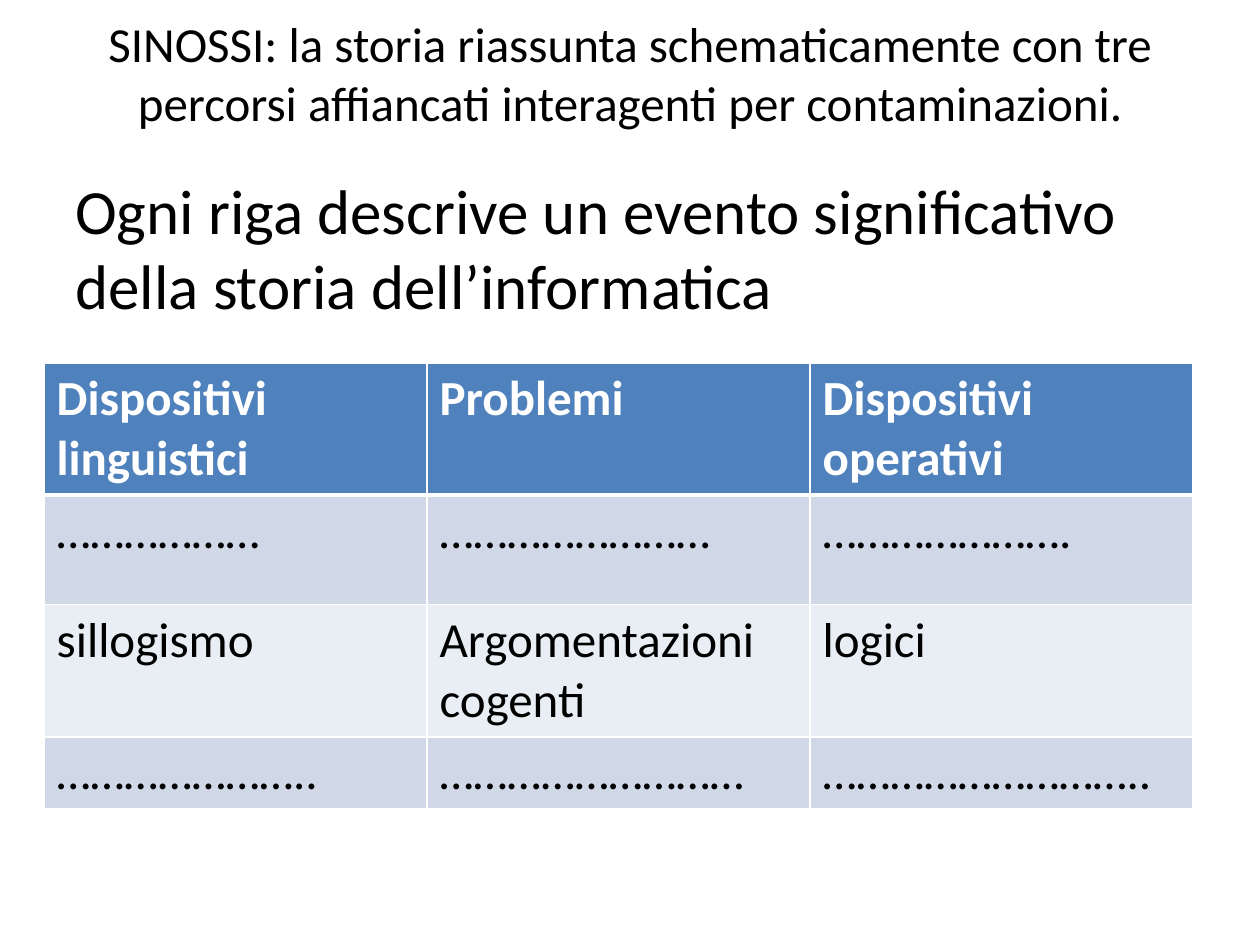
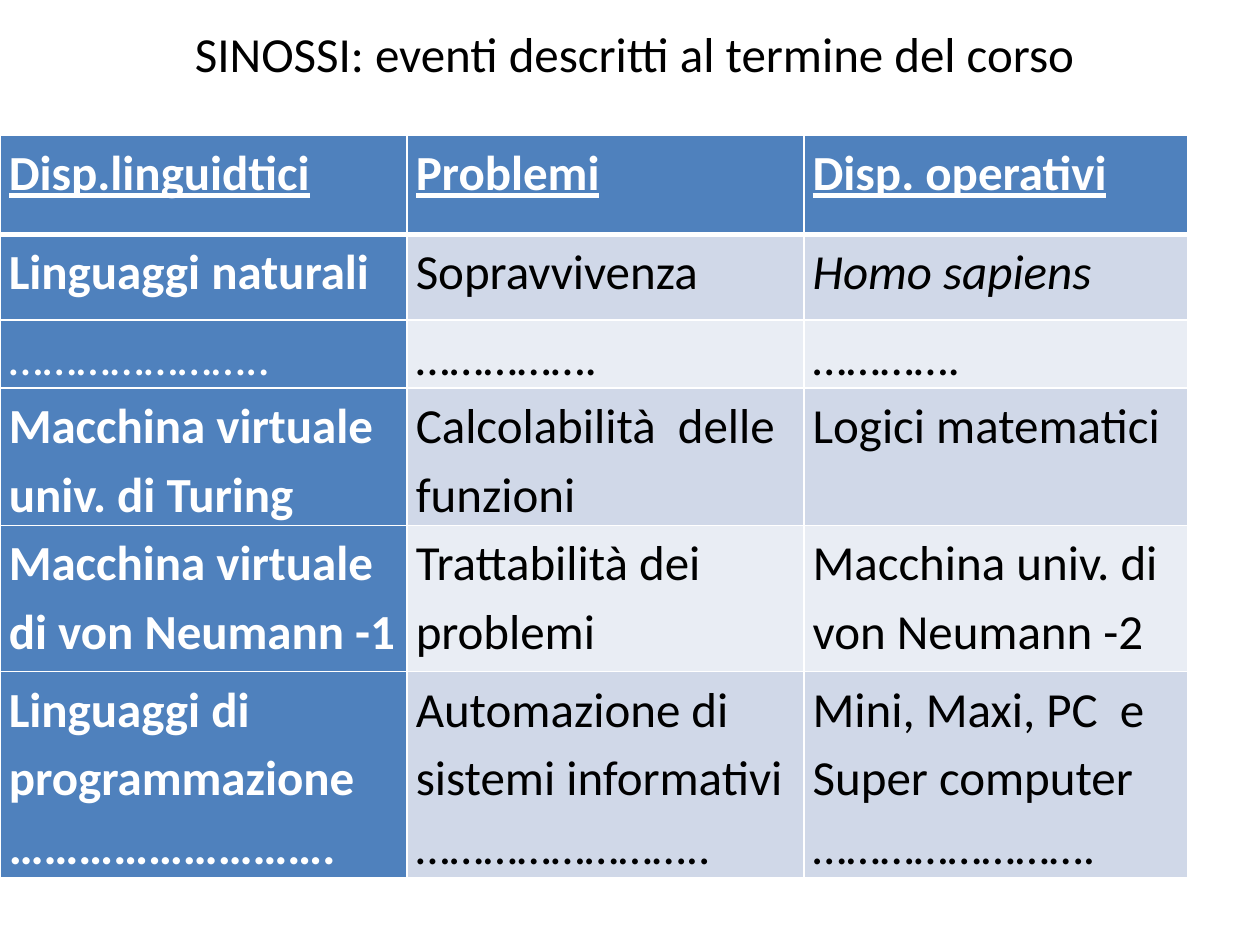
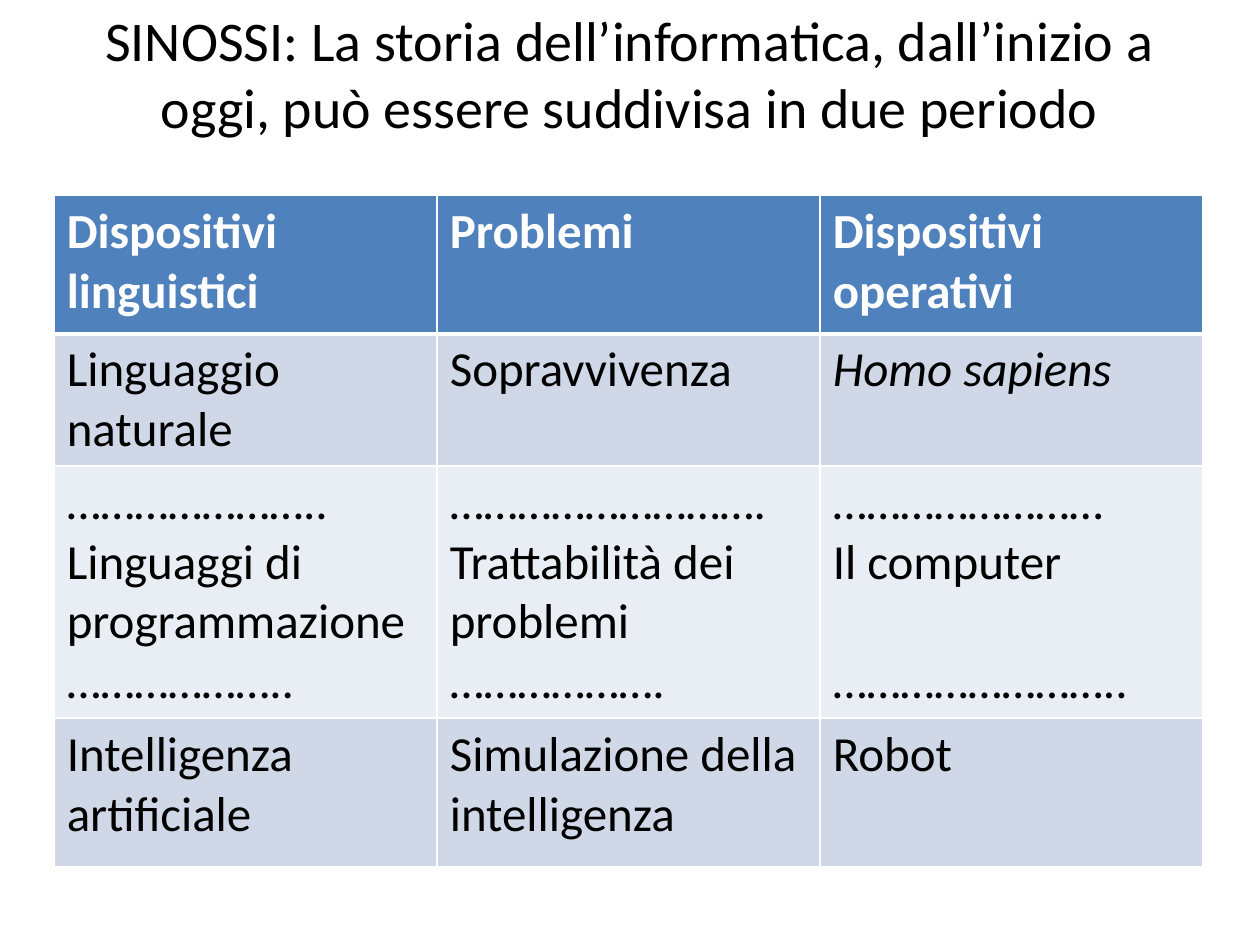
from lxml.etree import SubElement
from pptx import Presentation
from pptx.dml.color import RGBColor
from pptx.enum.text import MSO_ANCHOR, PP_ALIGN
from pptx.oxml.ns import qn
from pptx.util import Inches, Pt

FONT = "Calibri"
BLACK, WHITE = "000000", "FFFFFF"
HEADING_FILL = "4F81BD"
BAND_FILLS = ("D0D8E8", "E9EDF4")
CELL_SIZE = 28
BLANK_LINE = 34
ITALIC_TEXTS = {"Homo sapiens"}

FULL_HEADINGS = ("Dispositivi linguistici", "Problemi", "Dispositivi operativi")

STRUCTURE_ROWS = (
    FULL_HEADINGS,
    ("………………", "……………………", "………………….") ,
    ("sillogismo", "Argomentazioni cogenti", "logici"),
    ("…………………..", "………………………", "………………………..") ,
)
EVENT_ROWS = (
    ("Disp.linguidtici", "Problemi", "Disp. operativi"),
    ("Linguaggi naturali", "Sopravvivenza", "Homo sapiens"),
    ("…………………..", "…………….", "…………."),
    ("Macchina virtuale univ. di Turing", "Calcolabilità  delle funzioni", "Logici matematici"),
    ("Macchina virtuale di von Neumann -1", "Trattabilità dei problemi",
     "Macchina univ. di von Neumann -2"),
    ("Linguaggi di programmazione\n……………………….",
     "Automazione di sistemi informativi\n……………………..",
     "Mini, Maxi, PC  e Super computer\n……………………."),
)
PERIOD_ROWS = (
    FULL_HEADINGS,
    ("Linguaggio naturale", "Sopravvivenza", "Homo sapiens"),
    ("…………………..\nLinguaggi di programmazione\n………………..",
     "……………………….\nTrattabilità dei problemi\n……………….",
     "……………………\nIl computer\n\n…………………….."),
    ("Intelligenza artificiale", "Simulazione della intelligenza", "Robot"),
)


def color(code):
    """Turn a hex string into a colour."""
    return RGBColor.from_string(code)


def write(frame, text, size=CELL_SIZE, ink=BLACK, bold=False, italic=False, underline=False,
          align=PP_ALIGN.LEFT, line_spacing=None, space_before=0):
    """Fill a text frame, turning empty lines into space before the next paragraph."""
    paragraph, gap = frame.paragraphs[0], space_before
    for index, line in enumerate(text.split("\n")):
        if not line:
            gap += BLANK_LINE
            continue
        if index:
            paragraph = frame.add_paragraph()
        paragraph.alignment = align
        paragraph.line_spacing = line_spacing
        paragraph.space_before = Pt(gap)
        gap = space_before
        span = paragraph.add_run()
        span.text = line
        font = span.font
        font.name, font.size, font.color.rgb = FONT, Pt(size), color(ink)
        font.bold, font.italic, font.underline = bold, italic, underline


def add_text(page, text, left, top, width, height, anchor=MSO_ANCHOR.TOP, **style):
    """Add a wrapped text box."""
    box = page.shapes.add_textbox(Inches(left), Inches(top), Inches(width), Inches(height))
    frame = box.text_frame
    frame.word_wrap = True
    frame.vertical_anchor = anchor
    write(frame, text, **style)


def add_title(page, text, width=9, height=1.15, size=28):
    """Add the centred title at the top of a slide."""
    add_text(page, text, 0.5, 0, width, height, MSO_ANCHOR.MIDDLE, size=size,
             align=PP_ALIGN.CENTER)


def set_borders(cell, top=1, bottom=1):
    """Draw white borders round a cell, with widths in points."""
    properties = cell._tc.get_or_add_tcPr()
    widths = {"a:lnL": 1, "a:lnR": 1, "a:lnT": top, "a:lnB": bottom}
    for position, (tag, width) in enumerate(widths.items()):
        line = SubElement(properties, qn(tag), w=str(Pt(width)))
        SubElement(SubElement(line, qn("a:solidFill")), qn("a:srgbClr"), val=WHITE)
        properties.insert(position, line)


def add_synopsis(page, rows, left, top, widths, heights, heading_column=False,
                 underline=False, line_spacing=None, margins=None):
    """Add a banded table with a heading row and an optional heading column."""
    table = page.shapes.add_table(len(rows), len(widths), Inches(left), Inches(top),
                                  Inches(sum(widths)), Inches(sum(heights))).table
    table.first_col = heading_column
    for column, width in zip(table.columns, widths):
        column.width = Inches(width)
    for row_index, (row, height) in enumerate(zip(rows, heights)):
        table.rows[row_index].height = Inches(height)
        for column_index, text in enumerate(row):
            cell = table.cell(row_index, column_index)
            header = row_index == 0
            heading = header or (heading_column and column_index == 0)
            if margins:
                cell.margin_left = cell.margin_right = Inches(margins[0])
                cell.margin_top = cell.margin_bottom = Inches(margins[1])
            cell.fill.solid()
            fill = HEADING_FILL if heading else BAND_FILLS[(row_index - 1) % 2]
            cell.fill.fore_color.rgb = color(fill)
            set_borders(cell, top=3 if row_index == 1 else 1, bottom=3 if header else 1)
            write(cell.text_frame, text, ink=WHITE if heading else BLACK,
                  bold=heading and bool(text.strip("….")), italic=text in ITALIC_TEXTS,
                  underline=header and underline, line_spacing=line_spacing)


def build_structure(page):
    """Build the slide that explains the three columns."""
    add_title(page, "SINOSSI: la storia riassunta schematicamente con tre percorsi "
                    "affiancati interagenti per contaminazioni.")
    add_text(page, "Ogni riga descrive un evento significativo della storia dell’informatica",
             0.5, 1.31, 9, 6.19, size=36, space_before=7.2)
    add_synopsis(page, STRUCTURE_ROWS, 0.35, 2.88, [3.04] * 3, [1.05, 0.87, 1.05, 0.54])


def build_events(page):
    """Build the slide with the events described in the course."""
    add_title(page, "SINOSSI: eventi descritti al termine del corso", width=9.07, height=0.84)
    add_synopsis(page, EVENT_ROWS, 0, 1.07, [3.23, 3.15, 3.05],
                 [0.79, 0.68, 0.54, 1.09, 1.16, 1.64], heading_column=True,
                 underline=True, line_spacing=1.15, margins=(0.07, 0))


def build_periods(page):
    """Build the slide with the two periods."""
    add_title(page, "SINOSSI: La storia dell’informatica, dall’inizio a oggi, "
                    "può essere suddivisa in due periodo", size=32)
    add_synopsis(page, PERIOD_ROWS, 0.43, 1.55, [3.04] * 3, [1.1, 1.05, 2, 1.18])


def main():
    """Build and save the deck."""
    deck = Presentation()
    deck.slide_width, deck.slide_height = Inches(10), Inches(7.5)
    for build in (build_structure, build_events, build_periods):
        build(deck.slides.add_slide(deck.slide_layouts[6]))
    deck.save("out.pptx")


main()
